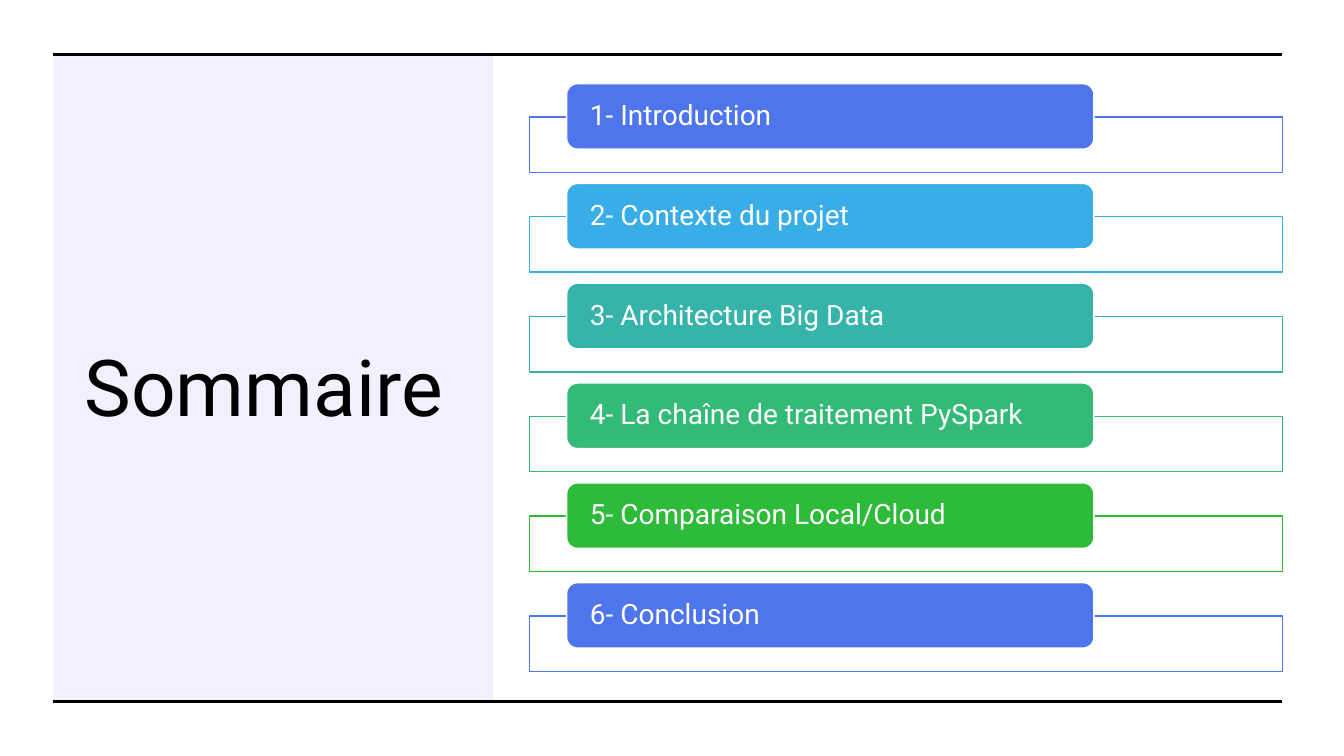
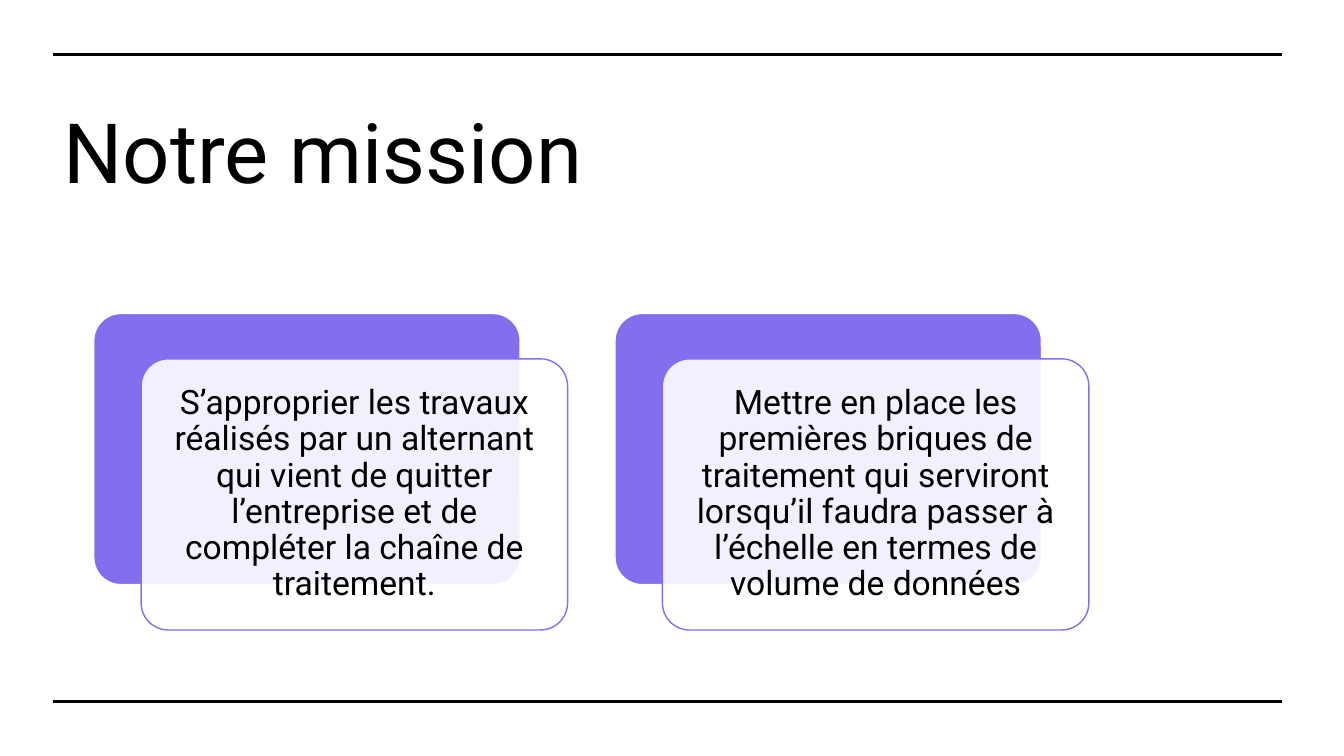
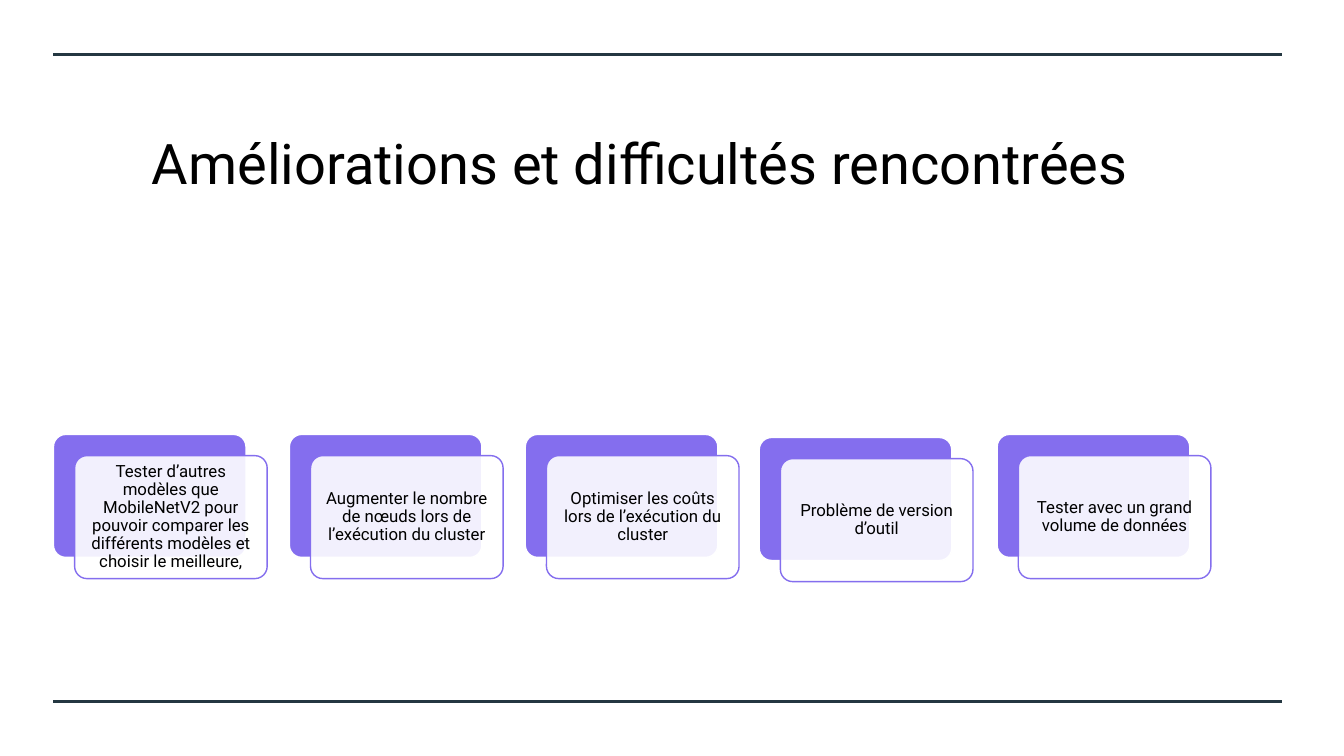
from lxml import etree
from pptx import Presentation
from pptx.dml.color import RGBColor
from pptx.enum.shapes import MSO_CONNECTOR, MSO_SHAPE
from pptx.enum.text import MSO_ANCHOR, MSO_AUTO_SIZE, PP_ALIGN
from pptx.oxml.ns import qn
from pptx.util import Inches, Pt

FONT = "Roboto"
COLORS = {
    "black": "000000", "white": "FFFFFF", "slate": "243741", "violet": "846EEE",
    "blue": "4E75EB", "sky": "38ADE8", "teal": "37B4AA", "jade": "33BA77",
    "green": "2DBB39",
}
RULE_LEFT, RULE_RIGHT = 0.53, 12.72
RULE_TOP, RULE_BOTTOM = 0.54, 6.96


def color(name):
    return RGBColor.from_string(COLORS[name])


def add_titled_slide(title, box, size, align=PP_ALIGN.LEFT, rule_color="black"):
    """Add a slide with its title and the two horizontal rules."""
    slide = prs.slides.add_slide(prs.slide_layouts[5])
    heading = slide.shapes.title
    heading.left, heading.top, heading.width, heading.height = map(Inches, box)
    frame = heading.text_frame
    frame.text = title
    frame.word_wrap = True
    frame.auto_size = MSO_AUTO_SIZE.NONE
    frame.vertical_anchor = MSO_ANCHOR.MIDDLE
    paragraph = frame.paragraphs[0]
    paragraph.alignment = align
    paragraph.font.name, paragraph.font.size = FONT, Pt(size)
    paragraph.font.color.rgb = color("black")
    for y in (RULE_TOP, RULE_BOTTOM):
        rule = slide.shapes.add_connector(
            MSO_CONNECTOR.STRAIGHT,
            Inches(RULE_LEFT), Inches(y), Inches(RULE_RIGHT), Inches(y))
        rule.line.color.rgb = color(rule_color)
        rule.line.width = Pt(2.25)
        etree.SubElement(rule._element.spPr, qn("a:effectLst"))
    return slide


def add_panel(slide, kind, box, fill, line=None, opacity=100, corner=None,
              text="", size=12, text_color="black", align=PP_ALIGN.CENTER,
              insets=(0, 0)):
    """Add a filled shape; insets are the horizontal and vertical text margins."""
    panel = slide.shapes.add_shape(kind, *map(Inches, box))
    panel.shadow.inherit = False
    panel.fill.solid()
    panel.fill.fore_color.rgb = color(fill)
    if opacity < 100:
        srgb = panel._element.spPr.find(qn("a:solidFill")).find(qn("a:srgbClr"))
        etree.SubElement(srgb, qn("a:alpha"), val=str(opacity * 1000))
    if line:
        panel.line.color.rgb = color(line)
        panel.line.width = Pt(1)
    else:
        panel.line.fill.background()
    if corner:
        panel.adjustments[0] = corner
    if text:
        frame = panel.text_frame
        frame.text = text
        frame.word_wrap = True
        frame.vertical_anchor = MSO_ANCHOR.MIDDLE
        frame.margin_left = frame.margin_right = Inches(insets[0])
        frame.margin_top = frame.margin_bottom = Inches(insets[1])
        paragraph = frame.paragraphs[0]
        paragraph.alignment = align
        paragraph.line_spacing = 0.9
        paragraph.font.name, paragraph.font.size = FONT, Pt(size)
        paragraph.font.color.rgb = color(text_color)
    return panel


prs = Presentation()
prs.slide_width, prs.slide_height = Inches(13.33), Inches(7.5)

# Agenda
agenda = add_titled_slide("Sommaire", (0.74, 1.07, 3.89, 5.5), 56)
side_band = add_panel(agenda, MSO_SHAPE.RECTANGLE, (RULE_LEFT, RULE_TOP, 4.36, 6.41),
                      "violet", opacity=10)
agenda.shapes._spTree.insert(2, side_band._element)  # behind the title

chapters = [
    ("1- Introduction", "blue"),
    ("2- Contexte du projet", "sky"),
    ("3- Architecture Big Data", "teal"),
    ("4- La chaîne de traitement PySpark", "jade"),
    ("5- Comparaison Local/Cloud", "green"),
    ("6- Conclusion", "blue"),
]
CHAPTER_PITCH = 0.99
for i, (chapter, hue) in enumerate(chapters):
    top = 0.83 + i * CHAPTER_PITCH
    add_panel(agenda, MSO_SHAPE.RECTANGLE, (5.25, top + 0.33, 7.47, 0.55),
              "white", line=hue, opacity=90)
    add_panel(agenda, MSO_SHAPE.ROUNDED_RECTANGLE, (5.62, top, 5.23, 0.65),
              hue, line="white", text=chapter, size=20, text_color="white",
              align=PP_ALIGN.LEFT, insets=(0.2, 0))

# Slides made of a row of layered cards
mission = add_titled_slide("Notre mission", (0.53, 0.95, 7.49, 1.08), 59.4)
missions = [
    "S’approprier les travaux réalisés par un alternant qui vient de quitter "
    "l’entreprise et de compléter la chaîne de traitement.",
    "Mettre en place les premières briques de traitement qui serviront "
    "lorsqu’il faudra passer à l’échelle en termes de volume de données",
]

difficulties = add_titled_slide(
    "Améliorations et difficultés rencontrées", (0.53, 1.07, 11.63, 1.08), 40,
    align=PP_ALIGN.CENTER, rule_color="slate")
improvements = [
    "Tester d’autres modèles que MobileNetV2 pour pouvoir comparer les "
    "différents modèles et choisir le meilleure,",
    "Augmenter le nombre de nœuds lors de l’exécution du cluster",
    "Optimiser les coûts lors de l’exécution du cluster",
    "Problème de version d’outil",
    "Tester avec un grand volume de données",
]

# slide, texts, first corner, card size, pitch, front offset, text size, inset, nudges
card_rows = [
    (mission, missions, (0.93, 3.11), (4.23, 2.69), 5.17, (0.47, 0.45), 24, 0.1, {}),
    (difficulties, improvements, (0.53, 4.31), (1.91, 1.22), 2.34, (0.21, 0.21),
     12, 0.05, {3: (-0.02, 0.03)}),
]
for slide, texts, (left, top), card, pitch, (dx, dy), size, inset, nudges in card_rows:
    for i, text in enumerate(texts):
        nudge_x, nudge_y = nudges.get(i, (0, 0))
        x, y = left + i * pitch + nudge_x, top + nudge_y
        add_panel(slide, MSO_SHAPE.ROUNDED_RECTANGLE, (x, y, *card),
                  "violet", line="white", corner=0.1)
        add_panel(slide, MSO_SHAPE.ROUNDED_RECTANGLE, (x + dx, y + dy, *card),
                  "white", line="violet", opacity=90, corner=0.1,
                  text=text, size=size, insets=(inset, inset))

prs.save("out.pptx")
